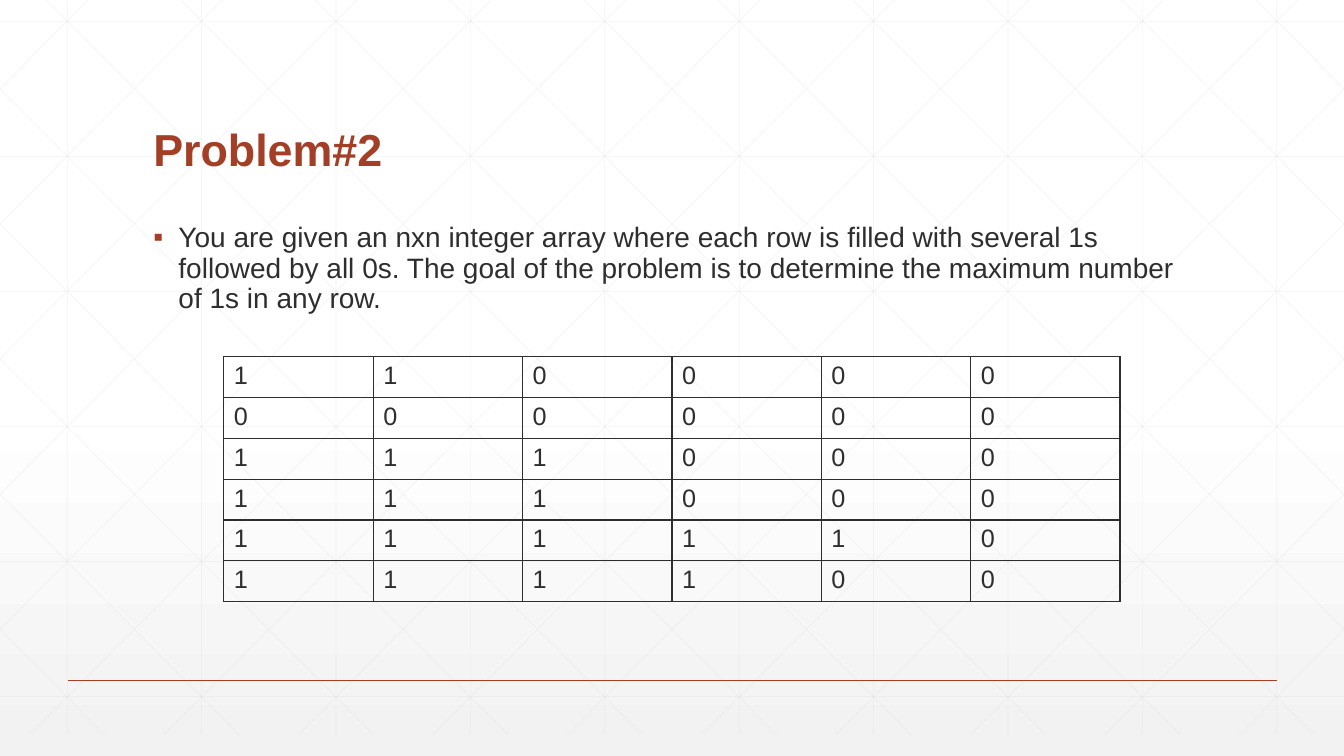
from copy import deepcopy

from lxml.etree import SubElement
from pptx import Presentation
from pptx.dml.color import RGBColor
from pptx.enum.shapes import MSO_CONNECTOR
from pptx.enum.text import MSO_ANCHOR, MSO_AUTO_SIZE, PP_ALIGN
from pptx.oxml import parse_xml
from pptx.oxml.ns import nsdecls, qn
from pptx.util import Inches, Pt

COLORS = {"accent": "A43F27", "text": "2D2E2D", "grid": "D9D9D9",
          "white": "FFFFFF", "shade": "F2F2F2"}
FONT = "Arial"
WIDTH, HEIGHT = 13.33, 7.5
PROBLEM = ("You are given an nxn integer array where each row is filled with "
           "several 1s followed by all 0s. The goal of the problem is to "
           "determine the maximum number of 1s in any row.")
ARRAY_SIZE = 6
ONES_PER_ROW = [2, 0, 3, 3, 5, 4]


def rgb(name):
    return RGBColor.from_string(COLORS[name])


def style_font(font, size, color, bold=False):
    font.name, font.size, font.bold = FONT, Pt(size), bold
    font.color.rgb = rgb(color)


def place(shape, box):
    shape.left, shape.top, shape.width, shape.height = map(Inches, box)


def add_line(shapes, start, end, color, width):
    line = shapes.add_connector(MSO_CONNECTOR.STRAIGHT,
                                *map(Inches, (*start, *end)))
    line.line.color.rgb = rgb(color)
    line.line.width = Pt(width)
    SubElement(line._element.spPr, qn("a:effectLst"))
    return line


def shade_background(page):
    fill = page.background.fill
    fill.gradient()
    fill.gradient_angle = 270
    first = fill.gradient_stops[0]._gs
    first.addnext(deepcopy(first))
    stops = zip(fill.gradient_stops, (0, 0.53, 1), ("white", "white", "shade"))
    for stop, position, color in stops:
        stop.position = position
        stop.color.rgb = rgb(color)


def add_grid(page, box):
    """Draw faint squares and diagonals, clipped to the box, behind everything."""
    left, top, width, height = box
    right, bottom = left + width, top + height
    pitch, run = 1.333, 7.455
    slope = height / run
    segments = []
    for column in range(10):
        x = left + pitch * (column + 0.5)
        segments.append(((x, top), (x, bottom)))
    for row in range(6):
        y = top + 0.42 + 1.34 * row
        segments.append(((left, y), (right, y)))
    for step in range(-5, 10):
        start = left + 0.25 + pitch * step
        x1, x2 = max(start, left), min(start + run, right)
        y1, y2 = (top + (x - start) * slope for x in (x1, x2))
        segments.append(((x1, y1), (x2, y2)))
        segments.append(((left + right - x1, y1), (left + right - x2, y2)))

    group = page.shapes.add_group_shape()
    for start, end in segments:
        line = add_line(group.shapes, start, end, "grid", 0.5)
        color = line._element.spPr.find(".//" + qn("a:srgbClr"))
        SubElement(color, qn("a:alpha"), val="25000")
    page.shapes._spTree.insert(2, group._element)


def add_title(page, box):
    title = page.shapes.title
    place(title, box)
    frame = title.text_frame
    frame.text = "Problem#2"
    frame.vertical_anchor = MSO_ANCHOR.BOTTOM
    frame.auto_size = MSO_AUTO_SIZE.NONE
    para = frame.paragraphs[0]
    para.alignment = PP_ALIGN.LEFT
    para.line_spacing = 0.9
    style_font(para.font, 32, "accent", bold=True)


def add_statement(page, box):
    body = page.placeholders[1]
    place(body, box)
    frame = body.text_frame
    frame.text = PROBLEM
    frame.auto_size = MSO_AUTO_SIZE.NONE
    para = frame.paragraphs[0]
    para.line_spacing = 0.9
    para.space_before = Pt(18)
    style_font(para.font, 20, "text")
    props = para._p.get_or_add_pPr()
    props.set("marL", str(Inches(0.25)))
    props.set("indent", str(Inches(-0.25)))
    bullet = (f'<a:buClr {nsdecls("a")}><a:srgbClr val="{COLORS["accent"]}"/></a:buClr>',
              f'<a:buFont {nsdecls("a")} typeface="{FONT}"/>',
              f'<a:buChar {nsdecls("a")} char="▪"/>')
    for position, xml in enumerate(bullet, start=2):
        props.insert(position, parse_xml(xml))


def outline_cell(cell):
    props = cell._tc.get_or_add_tcPr()
    for position, side in enumerate("LRTB"):
        props.insert(position, parse_xml(
            f'<a:ln{side} {nsdecls("a")} w="{Pt(1)}"><a:solidFill>'
            f'<a:srgbClr val="{COLORS["text"]}"/></a:solidFill></a:ln{side}>'))


def add_array(page, box):
    table = page.shapes.add_table(ARRAY_SIZE, ARRAY_SIZE, *map(Inches, box)).table
    table.first_row = table.horz_banding = False
    for row, ones in enumerate(ONES_PER_ROW):
        for column in range(ARRAY_SIZE):
            cell = table.cell(row, column)
            cell.text = "1" if column < ones else "0"
            style_font(cell.text_frame.paragraphs[0].font, 18, "text")
            cell.fill.background()
            outline_cell(cell)


def main():
    deck = Presentation()
    deck.slide_width, deck.slide_height = Inches(WIDTH), Inches(HEIGHT)
    page = deck.slides.add_slide(deck.slide_layouts[1])
    shade_background(page)
    add_grid(page, (0, -0.21, WIDTH, HEIGHT))
    add_line(page.shapes, (0.67, 6.75), (12.67, 6.75), "accent", 1)
    add_title(page, (1.42, 0.55, 10.5, 1.25))
    add_statement(page, (1.42, 2.17, 10.5, 4.17))
    add_array(page, (2.22, 3.54, 8.89, 2.43))
    deck.save("out.pptx")


if __name__ == "__main__":
    main()
